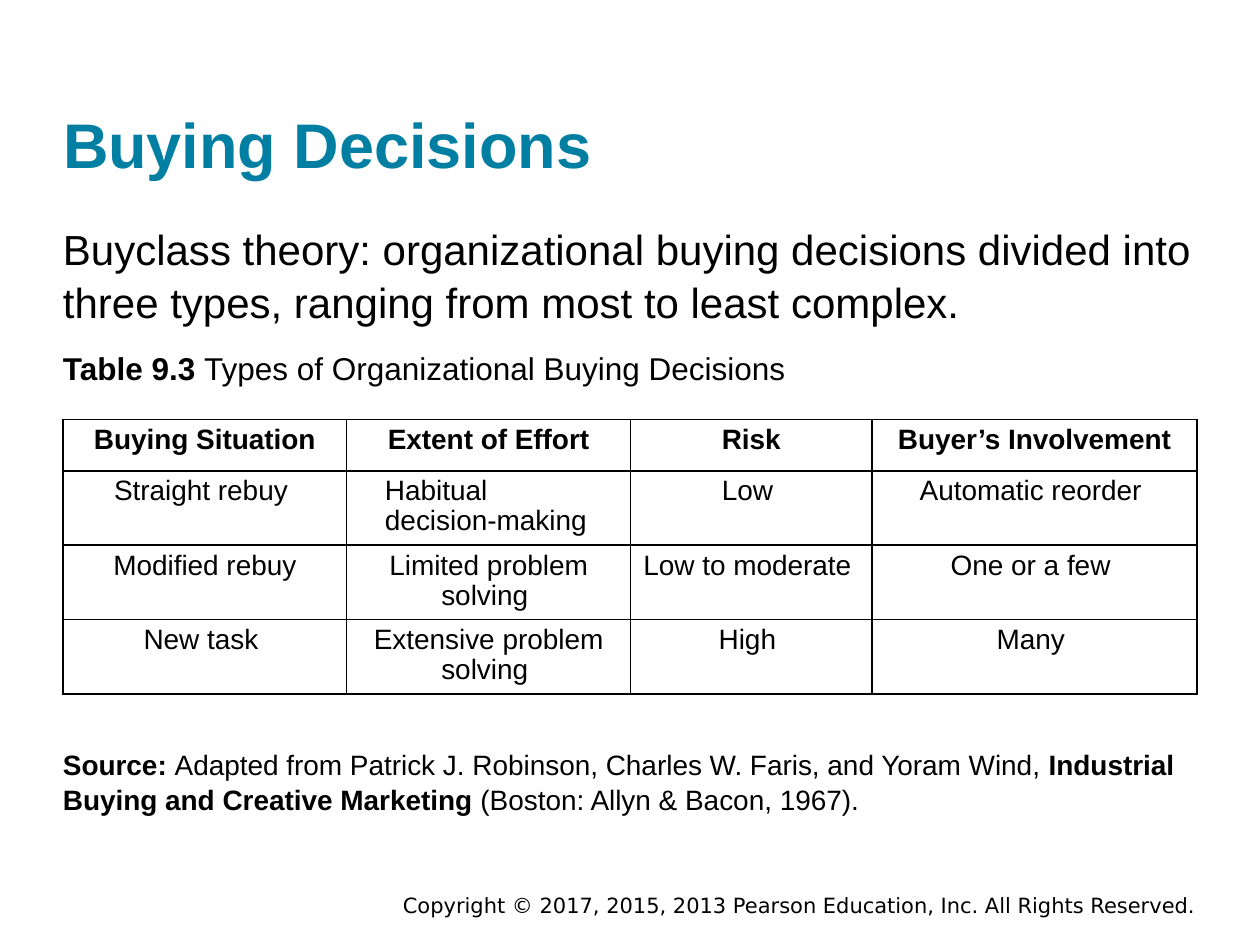
from pptx import Presentation
from pptx import util as u
from pptx.dml.color import RGBColor
from pptx.enum import text
from pptx.oxml import parse_xml
from pptx.oxml.ns import nsdecls

TEAL = RGBColor(0x00, 0x7F, 0xA3)
BLACK = RGBColor(0, 0, 0)
LEFT, WIDTH = 1.27, 22.86
COLUMNS = [5.72, 5.72, 4.87, 6.55]
ROW_HEIGHTS = [1.03, 1.5, 1.5, 1.5]
ROWS = [
    ["Buying Situation", "Extent of Effort", "Risk", "Buyer’s Involvement"],
    ["Straight rebuy ", "Habitual\vdecision-making", "Low ", "Automatic reorder "],
    ["Modified rebuy", "Limited problem solving ", "Low to moderate ", "One or a few "],
    ["New task ", "Extensive problem solving ", "High ", "Many "],
]


class SlideBuilder:
    def __init__(self, page, family="Arial"):
        self.page = page
        self.family = family

    def style(self, para, size, color=BLACK, bold=None, family=None):
        font = para.font
        font.name = family or self.family
        font.size = u.Pt(size)
        font.color.rgb = color
        font.bold = bold

    def place(self, box, left, top, width, height, inset=0):
        box.left, box.top = u.Cm(left), u.Cm(top)
        box.width, box.height = u.Cm(width), u.Cm(height)
        frame = box.text_frame
        frame.word_wrap = True
        frame.auto_size = text.MSO_AUTO_SIZE.NONE
        frame.margin_left = frame.margin_right = u.Cm(inset)
        frame.margin_top = frame.margin_bottom = u.Cm(inset / 2)
        return frame

    def title(self, wording):
        frame = self.place(self.page.shapes.title, LEFT, 0.61, WIDTH, 3.05)
        frame.vertical_anchor = text.MSO_ANCHOR.BOTTOM
        para = frame.paragraphs[0]
        para.text = wording
        para.alignment = text.PP_ALIGN.LEFT
        self.style(para, 36, TEAL, True)

    def paragraph(self, top, height, size, spans):
        box = self.page.shapes.add_textbox(0, 0, 0, 0)
        para = self.place(box, LEFT, top, WIDTH, height).paragraphs[0]
        para.line_spacing = 1.05
        self.style(para, size)
        for wording, bold in spans:
            span = para.add_run()
            span.text = wording
            span.font.bold = bold

    def footer(self, wording):
        box = self.page.shapes.add_textbox(0, 0, 0, 0)
        para = self.place(box, 7.42, 17.86, 16.94, 0.76, 0.25).paragraphs[0]
        para.text = wording
        para.alignment = text.PP_ALIGN.RIGHT
        self.style(para, 12, family="DejaVu Sans")

    def borders(self, cell):
        properties = cell._tc.get_or_add_tcPr()
        for index, side in enumerate(("lnL", "lnR", "lnT", "lnB")):
            properties.insert(index, parse_xml(
                f'<a:{side} {nsdecls("a")} w="12700"><a:solidFill>'
                f'<a:srgbClr val="{BLACK}"/></a:solidFill></a:{side}>'))

    def table(self, top, rows):
        frame = self.page.shapes.add_table(
            len(rows), len(COLUMNS), u.Cm(LEFT), u.Cm(top),
            u.Cm(WIDTH), u.Cm(sum(ROW_HEIGHTS)))
        table = frame.table
        table.first_row = table.horz_banding = False
        for column, width in zip(table.columns, COLUMNS):
            column.width = u.Cm(width)
        for row, height in zip(table.rows, ROW_HEIGHTS):
            row.height = u.Cm(height)
        for r, row in enumerate(rows):
            for c, wording in enumerate(row):
                cell = table.cell(r, c)
                cell.fill.background()
                self.borders(cell)
                cell.text = wording
                para = cell.text_frame.paragraphs[0]
                para.alignment = text.PP_ALIGN.CENTER
                para.line_spacing = 0.96
                self.style(para, 16, bold=r == 0)
        habitual = table.cell(1, 1)
        habitual.margin_left = u.Cm(0.77)
        habitual.text_frame.paragraphs[0].alignment = text.PP_ALIGN.LEFT


def main():
    deck = Presentation()
    deck.slide_width, deck.slide_height = u.Cm(25.4), u.Cm(19.05)
    builder = SlideBuilder(deck.slides.add_slide(deck.slide_layouts[5]))
    builder.footer("Copyright © 2017, 2015, 2013 Pearson Education, Inc. All Rights Reserved.")
    builder.title("Buying Decisions")
    builder.paragraph(4.45, 2.11, 24, [
        ("Buyclass theory: organizational buying decisions divided into three types, "
         "ranging from most to least complex.", False)])
    builder.paragraph(6.99, 0.84, 18, [
        ("Table 9.3 ", True), ("Types of Organizational Buying Decisions", False)])
    builder.table(8.46, ROWS)
    builder.paragraph(15.04, 1.47, 16, [
        ("Source: ", True),
        ("Adapted from Patrick J. Robinson, Charles W. Faris, and Yoram Wind, ", False),
        ("Industrial Buying and Creative Marketing ", True),
        ("(Boston: Allyn & Bacon, 1967).", False)])
    deck.save("out.pptx")


if __name__ == "__main__":
    main()
